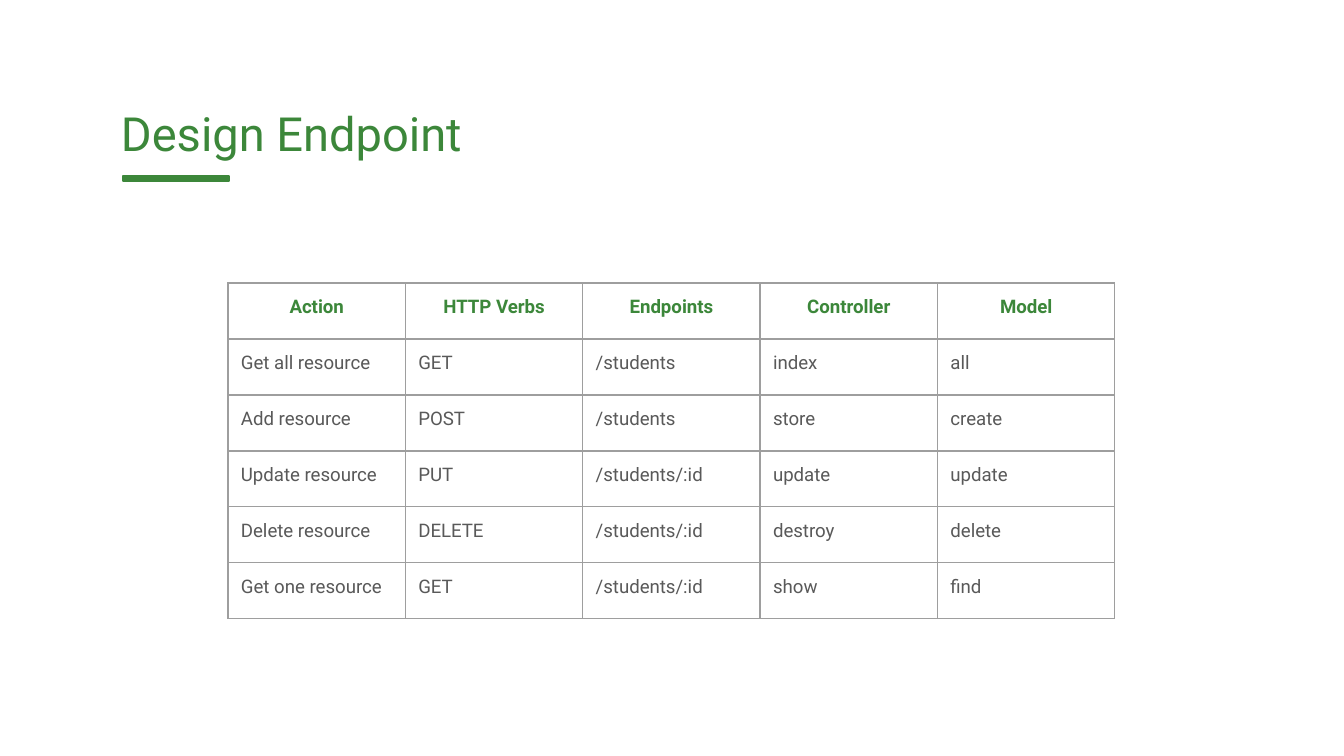
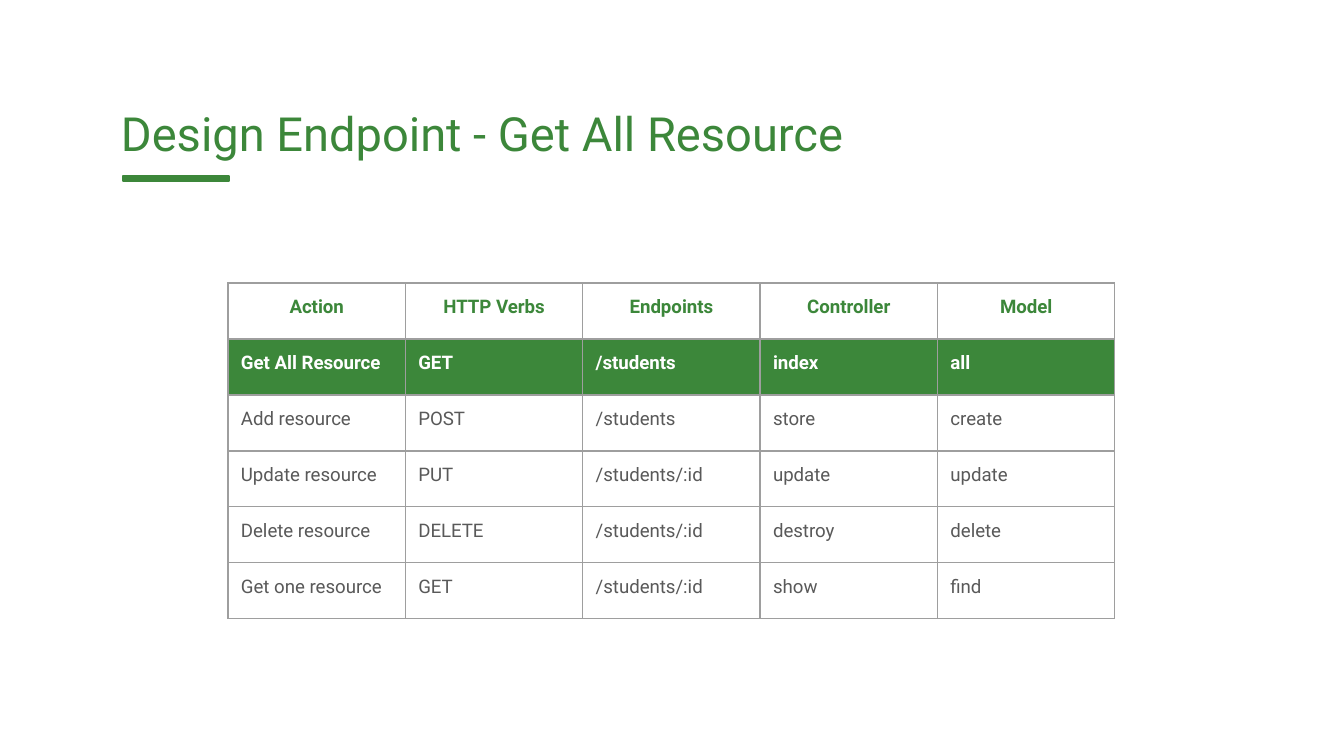
from dataclasses import dataclass

from lxml.etree import SubElement
from pptx import Presentation
from pptx.dml.color import RGBColor
from pptx.enum.shapes import MSO_SHAPE
from pptx.enum.text import MSO_ANCHOR, PP_ALIGN
from pptx.oxml.ns import qn
from pptx.util import Emu, Pt


@dataclass(frozen=True)
class Theme:
    font: str = "Roboto"
    green: str = "3C873A"
    grey: str = "595959"
    white: str = "FFFFFF"
    border: str = "9E9E9E"
    title_size: float = 25.2
    table_size: float = 10
    line_width: float = 0.75


theme = Theme()
EMU_PER_PX = 914400 / 134.4


def px(*lengths):
    return [Emu(round(length * EMU_PER_PX)) for length in lengths]


def write(frame, text, color, size, bold=False, align=PP_ALIGN.LEFT):
    para = frame.paragraphs[0]
    para.alignment = align
    span = para.add_run()
    span.text = text
    values = {"name": theme.font, "size": Pt(size), "bold": bold}
    for name, value in values.items():
        setattr(span.font, name, value)
    span.font.color.rgb = RGBColor.from_string(color)


# Content
headings = ["Action", "HTTP Verbs", "Endpoints", "Controller", "Model"]
get_all = ["GET", "/students", "index", "all"]
other_endpoints = [
    ["Add resource", "POST", "/students", "store", "create"],
    ["Update resource", "PUT", "/students/:id", "update", "update"],
    ["Delete resource", "DELETE", "/students/:id", "destroy", "delete"],
    ["Get one resource", "GET", "/students/:id", "show", "find"],
]
# Title, name of the first action, highlighted row
pages = [
    ("Design Endpoint", "Get all resource", None),
    ("Design Endpoint - Get All Resource", "Get All Resource", 1),
]

deck = Presentation()
deck.slide_width, deck.slide_height = px(1344, 756)

for title, first_action, highlighted in pages:
    page = deck.slides.add_slide(deck.slide_layouts[6])
    page.background.fill.solid()
    page.background.fill.fore_color.rgb = RGBColor.from_string(theme.white)

    # Title
    box = page.shapes.add_textbox(*px(108, 87, 1130, 79))
    margins = px(13, 17, 13, 13)
    sides = ["margin_left", "margin_top", "margin_right", "margin_bottom"]
    box_format = dict(zip(sides, margins), word_wrap=True, vertical_anchor=MSO_ANCHOR.TOP)
    for name, value in box_format.items():
        setattr(box.text_frame, name, value)
    write(box.text_frame, title, theme.green, theme.title_size)

    # Bar under the title
    bar = page.shapes.add_shape(MSO_SHAPE.RECTANGLE, *px(123, 176, 106, 5))
    bar.shadow.inherit = False
    bar.fill.solid()
    bar.fill.fore_color.rgb = RGBColor.from_string(theme.green)
    bar.line.color.rgb = RGBColor.from_string(theme.green)
    bar.line.width = Pt(theme.line_width)

    # Endpoint table
    rows = [headings, [first_action, *get_all], *other_endpoints]
    place = px(228, 283, 887, 56 * len(rows))
    table = page.shapes.add_table(len(rows), len(headings), *place).table
    table.first_row = table.horz_banding = False
    cell_format = dict.fromkeys(sides, px(13)[0])
    cell_format["vertical_anchor"] = MSO_ANCHOR.TOP
    for row_index, row in enumerate(rows):
        is_heading = row_index == 0
        is_highlighted = row_index == highlighted
        color = theme.green if is_heading else theme.white if is_highlighted else theme.grey
        align = PP_ALIGN.CENTER if is_heading else PP_ALIGN.LEFT
        for column_index, text in enumerate(row):
            cell = table.cell(row_index, column_index)
            for name, value in cell_format.items():
                setattr(cell, name, value)
            write(cell.text_frame, text, color, theme.table_size,
                  is_heading or is_highlighted, align)

            # Cell borders come before the cell fill
            properties = cell._tc.get_or_add_tcPr()
            for edge in ("a:lnL", "a:lnR", "a:lnT", "a:lnB"):
                line = SubElement(properties, qn(edge), w=str(Pt(theme.line_width)))
                paint = SubElement(line, qn("a:solidFill"))
                SubElement(paint, qn("a:srgbClr"), val=theme.border)
            if is_highlighted:
                cell.fill.solid()
                cell.fill.fore_color.rgb = RGBColor.from_string(theme.green)
            else:
                cell.fill.background()

deck.save("out.pptx")
